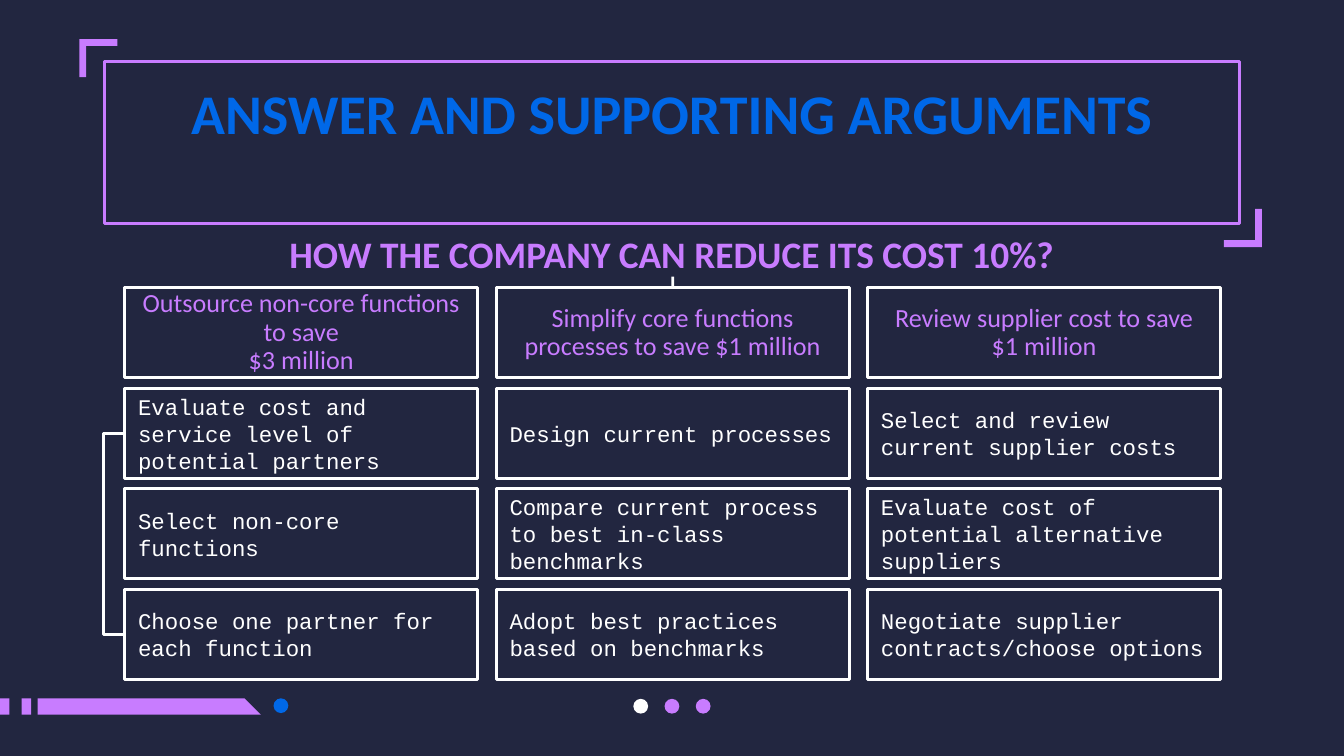
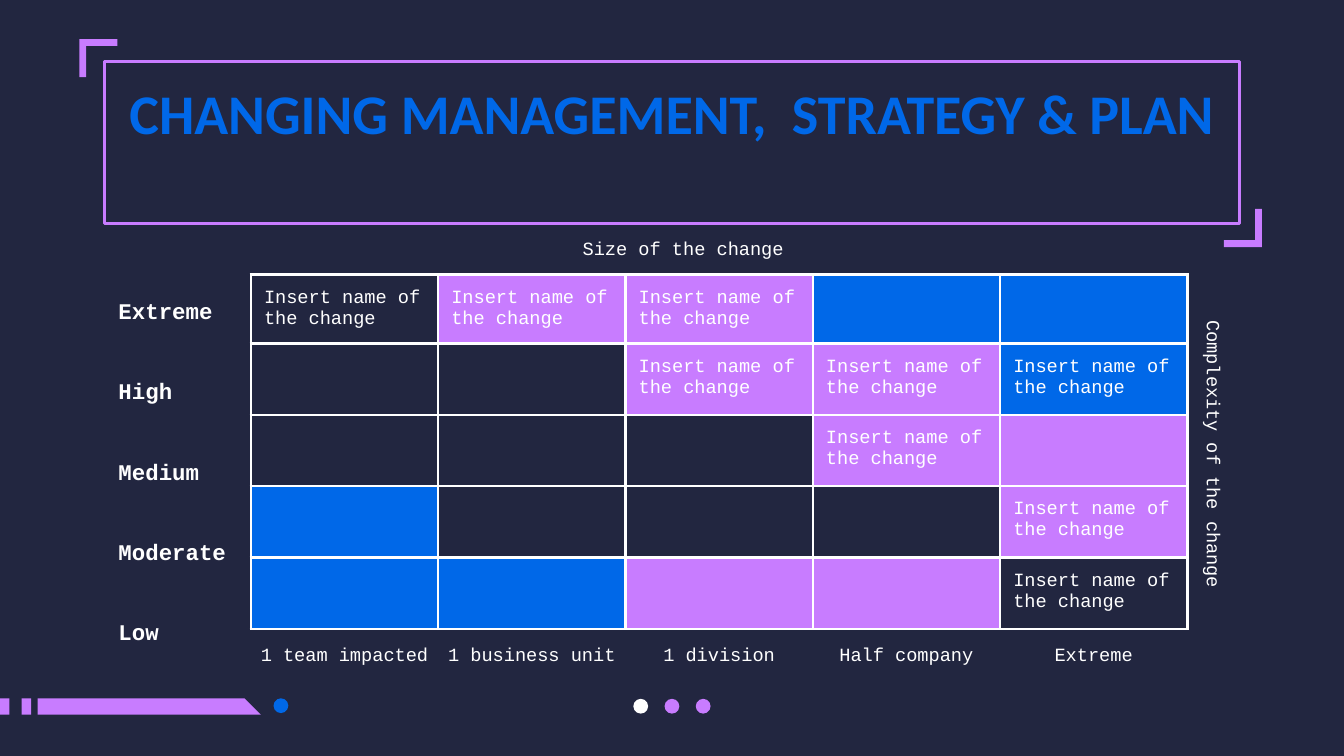
from lxml import etree
from pptx import Presentation
from pptx import util as u
from pptx.dml.color import RGBColor
from pptx.enum import shapes, text
from pptx.oxml import ns

NAVY, PURPLE, BLUE, WHITE = "222640", "C87CFF", "0068E8", "FFFFFF"
SANS, MONO = "Calibri", "Courier New"
LEFT, CENTER = text.PP_ALIGN.LEFT, text.PP_ALIGN.CENTER
TOP, MIDDLE = text.MSO_ANCHOR.TOP, text.MSO_ANCHOR.MIDDLE
FRAME_LEFT, FRAME_WIDTH = 1.98, 21.44

CARD_LEFT, CARD_TOP = 2.36, 5.44
CARD_WIDTH, CARD_HEIGHT = 6.67, 1.7
CARD_STEP_X, CARD_STEP_Y = 7.02, 1.9
ARGUMENTS = [
    ("Outsource non-core functions to save\n$3 million",
     "Evaluate cost and service level of potential partners",
     "Select non-core functions",
     "Choose one partner for each function"),
    ("Simplify core functions processes to save $1 million",
     "Design current processes",
     "Compare current process to best in-class benchmarks",
     "Adopt best practices based on benchmarks"),
    ("Review supplier cost to save $1 million",
     "Select and review current supplier costs",
     "Evaluate cost of potential alternative suppliers",
     "Negotiate supplier contracts/choose options"),
]

GRID_LEFT, GRID_TOP, GRID_COLUMN = 4.74, 5.19, 3.54
GRID_ROWS = [1.3] + [1.35] * 4
GRID_FILLS = {"d": NAVY, "p": PURPLE, "b": BLUE}
GRID = ["DPPbb", "ddPPB", "dddPp", "bdddP", "bbppD"]
COMPLEXITIES = ["Extreme", "High", "Medium", "Moderate", "Low"]
SIZES = ["1 team impacted", "1 business unit", "1 division",
         "Half company", "Extreme"]


def rgb(value):
    return RGBColor.from_string(value)


def cm(*values):
    return [u.Cm(value) for value in values]


def write(frame, content, *, size=10, font=MONO, color=WHITE, bold=False,
          align=LEFT, anchor=MIDDLE, margin=0.25, spacing=None):
    frame.word_wrap = True
    frame.auto_size = text.MSO_AUTO_SIZE.NONE
    frame.vertical_anchor = anchor
    frame.margin_left = frame.margin_right = u.Cm(margin)
    frame.margin_top = frame.margin_bottom = u.Cm(margin)
    for index, line in enumerate(content.split("\n")):
        para = frame.add_paragraph() if index else frame.paragraphs[0]
        para.alignment = align
        if spacing:
            para.line_spacing = spacing
        span = para.add_run()
        span.text = line
        span.font.size = u.Pt(size)
        span.font.name = font
        span.font.bold = bold
        span.font.color.rgb = rgb(color)


class Builder:
    def __init__(self):
        self.deck = Presentation()
        self.deck.slide_width, self.deck.slide_height = cm(25.4, 14.29)
        background = self.deck.slide_master.background.fill
        background.solid()
        background.fore_color.rgb = rgb(NAVY)
        self.layout = self.deck.slide_layouts[5]
        self.page = None

    def start_page(self, title):
        first = self.page is None
        self.page = self.deck.slides.add_slide(self.layout)
        if first:
            self.add_footer_to_layout()
        self.shape(FRAME_LEFT, 1.17, FRAME_WIDTH, 3.05, line=PURPLE)
        self.corner(23.85, 4.67, 1)
        self.corner(1.5, 0.74, -1)
        box = self.page.shapes.title
        box.left, box.top, box.width, box.height = cm(
            FRAME_LEFT, 1.24, FRAME_WIDTH, 1.6)
        write(box.text_frame, title, size=30, font=SANS, color=BLUE,
              bold=True, align=CENTER, anchor=TOP)

    def add_footer_to_layout(self):
        oval = shapes.MSO_SHAPE.OVAL
        parts = [self.shape(left, 13.2, 0.18, 0.31, fill=PURPLE)
                 for left in (0, 0.41)]
        parts.append(self.polygon(
            [(0.71, 13.2), (0.71, 13.51), (4.93, 13.51), (4.62, 13.2)]))
        parts.append(self.shape(5.17, 13.2, 0.28, 0.28, oval, fill=BLUE))
        for index, color in enumerate((WHITE, PURPLE, PURPLE)):
            parts.append(self.shape(11.97 + 0.59 * index, 13.21, 0.28, 0.28,
                                    oval, fill=color))
        for part in parts:
            self.layout.shapes.element.append(part.element)

    def paint(self, shape, fill=None, line=None):
        shape.shadow.inherit = False
        if fill:
            shape.fill.solid()
            shape.fill.fore_color.rgb = rgb(fill)
        else:
            shape.fill.background()
        if line:
            shape.line.color.rgb = rgb(line)
            shape.line.width = u.Pt(1.5)
        else:
            shape.line.fill.background()
        return shape

    def shape(self, left, top, width, height,
              kind=shapes.MSO_SHAPE.RECTANGLE, fill=None, line=None):
        shape = self.page.shapes.add_shape(
            kind, *cm(left, top, width, height))
        return self.paint(shape, fill, line)

    def polygon(self, points):
        start, *rest = [cm(*point) for point in points]
        outline = self.page.shapes.build_freeform(*start)
        outline.add_line_segments(rest)
        return self.paint(outline.convert_to_shape(), PURPLE)

    def corner(self, x, y, direction):
        arm, thick = 0.72 * direction, 0.13 * direction
        self.polygon([(x, y - arm), (x, y), (x - arm, y),
                      (x - arm, y - thick), (x - thick, y - thick),
                      (x - thick, y - arm)])

    def label(self, content, left, top, width, height=0.81, rotation=0,
              **style):
        box = self.page.shapes.add_textbox(*cm(left, top, width, height))
        box.rotation = rotation
        write(box.text_frame, content, **style)

    def card(self, content, left, top, fill=None, **style):
        card = self.shape(left, top, CARD_WIDTH, CARD_HEIGHT,
                          fill=fill, line=WHITE)
        write(card.text_frame, content, **style)
        return card

    def connector(self, kind, *ends):
        link = self.page.shapes.add_connector(kind, *cm(*ends))
        link.line.color.rgb = rgb(WHITE)
        link.line.width = u.Pt(1.5)
        etree.SubElement(link.element.spPr, ns.qn("a:effectLst"))
        return link

    def bracket(self, x, top, bottom, reach):
        offset = 0.01
        link = self.connector(shapes.MSO_CONNECTOR.ELBOW,
                              x, top, x + offset, bottom)
        geometry = link.element.spPr.find(ns.qn("a:prstGeom"))
        guides = geometry.find(ns.qn("a:avLst"))
        if guides is None:
            guides = etree.SubElement(geometry, ns.qn("a:avLst"))
        etree.SubElement(guides, ns.qn("a:gd"), name="adj1",
                         fmla=f"val {round(-reach / offset * 100000)}")

    def fill_cell(self, cell, color):
        properties = cell._tc.get_or_add_tcPr()
        for side in ("lnL", "lnR", "lnT", "lnB"):
            border = etree.SubElement(properties, ns.qn(f"a:{side}"),
                                      w=str(u.Pt(1.5)))
            solid = etree.SubElement(border, ns.qn("a:solidFill"))
            etree.SubElement(solid, ns.qn("a:srgbClr"), val=WHITE)
        cell.fill.solid()
        cell.fill.fore_color.rgb = rgb(color)

    def change_grid(self):
        count = len(GRID[0])
        table = self.page.shapes.add_table(
            len(GRID), count, *cm(GRID_LEFT, GRID_TOP, GRID_COLUMN * count,
                                  sum(GRID_ROWS))).table
        table.first_row = table.horz_banding = False
        for column in table.columns:
            column.width = u.Cm(GRID_COLUMN)
        for row, height, codes in zip(table.rows, GRID_ROWS, GRID):
            row.height = u.Cm(height)
            for cell, code in zip(row.cells, codes):
                self.fill_cell(cell, GRID_FILLS[code.lower()])
                cell.margin_left = cell.margin_right = u.Cm(0.25)
                cell.margin_top = cell.margin_bottom = u.Cm(0.25)
                if code.isupper():
                    write_cell(cell, "Insert name of the change")


def write_cell(cell, content):
    span = cell.text_frame.paragraphs[0].add_run()
    span.text = content
    span.font.size = u.Pt(10)
    span.font.name = MONO
    span.font.color.rgb = rgb(WHITE)


def build_arguments(builder):
    builder.start_page("ANSWER AND SUPPORTING ARGUMENTS")
    builder.label("HOW THE COMPANY CAN REDUCE ITS COST 10%?", FRAME_LEFT,
                  4.17, FRAME_WIDTH, 1.24, size=20, font=SANS, color=PURPLE,
                  bold=True, align=CENTER)
    headers = []
    for column, (header, *steps) in enumerate(ARGUMENTS):
        left = CARD_LEFT + CARD_STEP_X * column
        headers.append(builder.card(
            header, left, CARD_TOP, size=14, font=SANS, color=PURPLE,
            align=CENTER, spacing=0.9))
        for row, step in enumerate(steps, 1):
            builder.card(step, left, CARD_TOP + CARD_STEP_Y * row,
                         fill=NAVY, size=12)
    middle = CARD_TOP + CARD_HEIGHT / 2
    builder.bracket(CARD_LEFT, middle + CARD_STEP_Y,
                    middle + 3 * CARD_STEP_Y, 0.4)
    stem = builder.connector(shapes.MSO_CONNECTOR.STRAIGHT,
                             CARD_LEFT + CARD_STEP_X + CARD_WIDTH / 2, 5.23,
                             12.7, CARD_TOP)
    stem.end_connect(headers[1], 0)


def build_change_plan(builder):
    builder.start_page("CHANGING MANAGEMENT,  STRATEGY & PLAN")
    builder.change_grid()
    for row, name in enumerate(COMPLEXITIES):
        builder.label(name, 2.24, 5.46 + 1.52 * row, 2.2, size=12,
                      bold=True, margin=0)
    for column, name in enumerate(SIZES):
        builder.label(name, GRID_LEFT + GRID_COLUMN * column, 11.96,
                      GRID_COLUMN, align=CENTER, margin=0)
    builder.label("Complexity of the change", 19.84, 8.18, 6.22,
                  rotation=90, align=CENTER, margin=0)
    builder.label("Size of the change", 9.8, 4.29, 6.22, align=CENTER,
                  margin=0)


def main():
    builder = Builder()
    build_arguments(builder)
    build_change_plan(builder)
    builder.deck.save("out.pptx")


if __name__ == "__main__":
    main()
